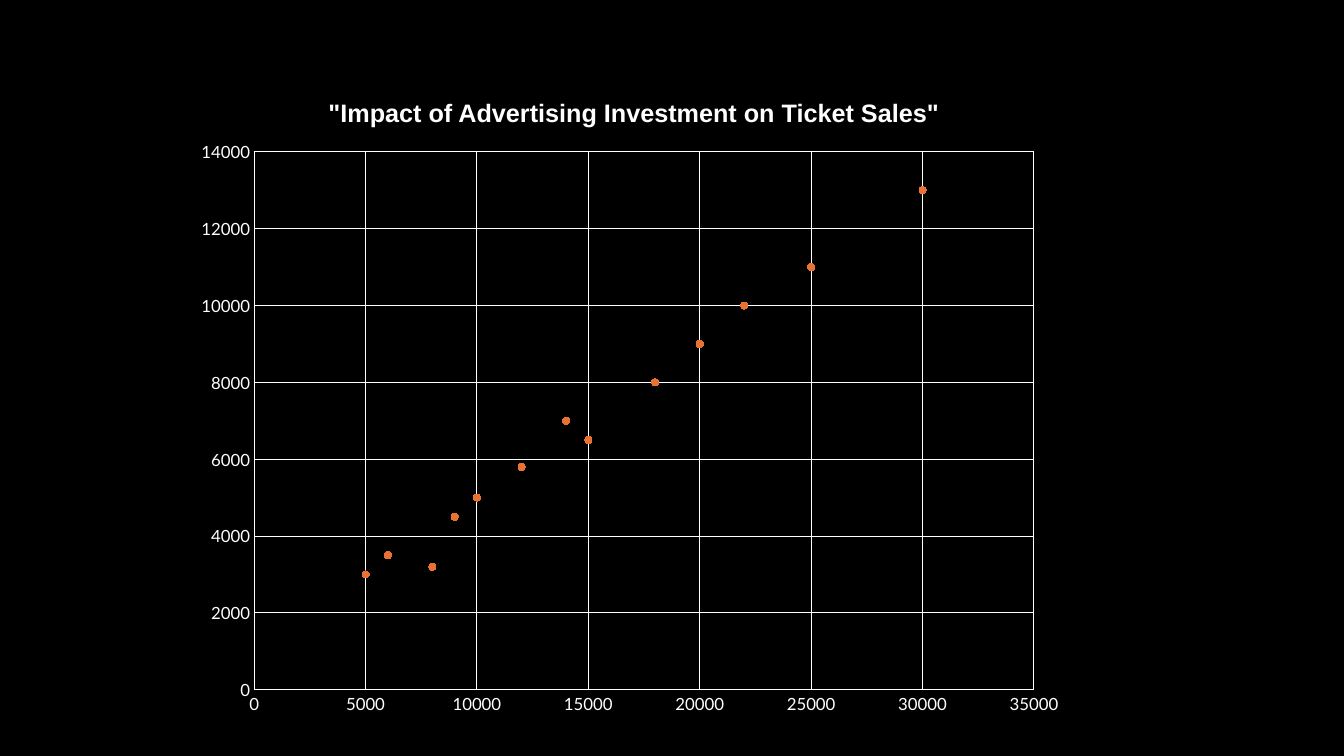
from lxml import etree
from pptx import Presentation
from pptx.chart.data import XyChartData
from pptx.dml.color import RGBColor
from pptx.enum.chart import XL_CHART_TYPE, XL_MARKER_STYLE, XL_TICK_MARK
from pptx.enum.text import MSO_ANCHOR
from pptx.oxml.ns import qn
from pptx.util import Inches, Pt

COLORS = {"back": "000000", "light": "FFFFFF", "dot": "E97132"}


def color(name):
    return RGBColor.from_string(COLORS[name])


def add_text(slide, text, left, top, width, height, size=18, font="Arial",
             tint="light", bold=False):
    box = slide.shapes.add_textbox(Inches(left), Inches(top),
                                   Inches(width), Inches(height))
    frame = box.text_frame
    frame.word_wrap = True
    frame.vertical_anchor = MSO_ANCHOR.TOP
    run = frame.paragraphs[0].add_run()
    run.text = text
    run.font.size = Pt(size)
    run.font.name = font
    run.font.bold = bold
    run.font.color.rgb = color(tint)


# Slide
deck = Presentation()
deck.slide_width, deck.slide_height = Inches(13.33), Inches(7.5)
slide = deck.slides.add_slide(deck.slide_layouts[6])
slide.background.fill.solid()
slide.background.fill.fore_color.rgb = color("back")

# Scatter data: advertising spend, tickets sold
points = [
    (10000, 5000), (15000, 6500), (8000, 3200), (20000, 9000),
    (12000, 5800), (5000, 3000), (18000, 8000), (22000, 10000),
    (14000, 7000), (9000, 4500), (25000, 11000), (6000, 3500),
    (30000, 13000),
]
data = XyChartData(number_format="General")
series = data.add_series("Series 1")
for spend, sales in points:
    series.add_data_point(spend, sales)

# Chart
chart = slide.shapes.add_chart(
    XL_CHART_TYPE.XY_SCATTER, Inches(1.81), Inches(1.27),
    Inches(8.89), Inches(5.93), data).chart
chart.has_title = False
chart.has_legend = False
chart.font.name = "Lato"
chart.font.size = Pt(10)
chart.font.color.rgb = color("light")

# Axes and grid
for axis, top, step in ((chart.category_axis, 35000, 5000),
                        (chart.value_axis, 14000, 2000)):
    axis.minimum_scale, axis.maximum_scale = 0, top
    axis.major_unit = step
    axis.major_tick_mark = axis.minor_tick_mark = XL_TICK_MARK.NONE
    axis.has_major_gridlines = True
    for line in (axis.format.line, axis.major_gridlines.format.line):
        line.color.rgb = color("light")
        line.width = Pt(0.75)
    font = axis.tick_labels.font
    font.name = "Lato"
    font.size = Pt(12)
    font.color.rgb = color("light")

# Dots without a joining line
plot = chart.plots[0]
plot.vary_by_categories = False
dots = plot.series[0]
dots.smooth = False
dots.format.line.fill.background()
dots.marker.style = XL_MARKER_STYLE.CIRCLE
dots.marker.size = 5
dots.marker.format.fill.solid()
dots.marker.format.fill.fore_color.rgb = color("dot")
dots.marker.format.line.color.rgb = color("dot")

# Inner plot area as fractions of the chart
area = chart.element.find(".//" + qn("c:plotArea"))
for old in area.findall(qn("c:layout")):
    area.remove(old)
layout = etree.Element(qn("c:layout"))
area.insert(0, layout)
manual = etree.SubElement(layout, qn("c:manualLayout"))
for tag, value in (("layoutTarget", "inner"), ("xMode", "edge"),
                   ("yMode", "edge"), ("x", "0.08"), ("y", "0.04"),
                   ("w", "0.87"), ("h", "0.9")):
    etree.SubElement(manual, qn("c:" + tag), val=value)

# Heading
add_text(slide, '"Impact of Advertising Investment on Ticket Sales"',
         3.16, 0.92, 6.87, 0.71, bold=True)

deck.save("out.pptx")
